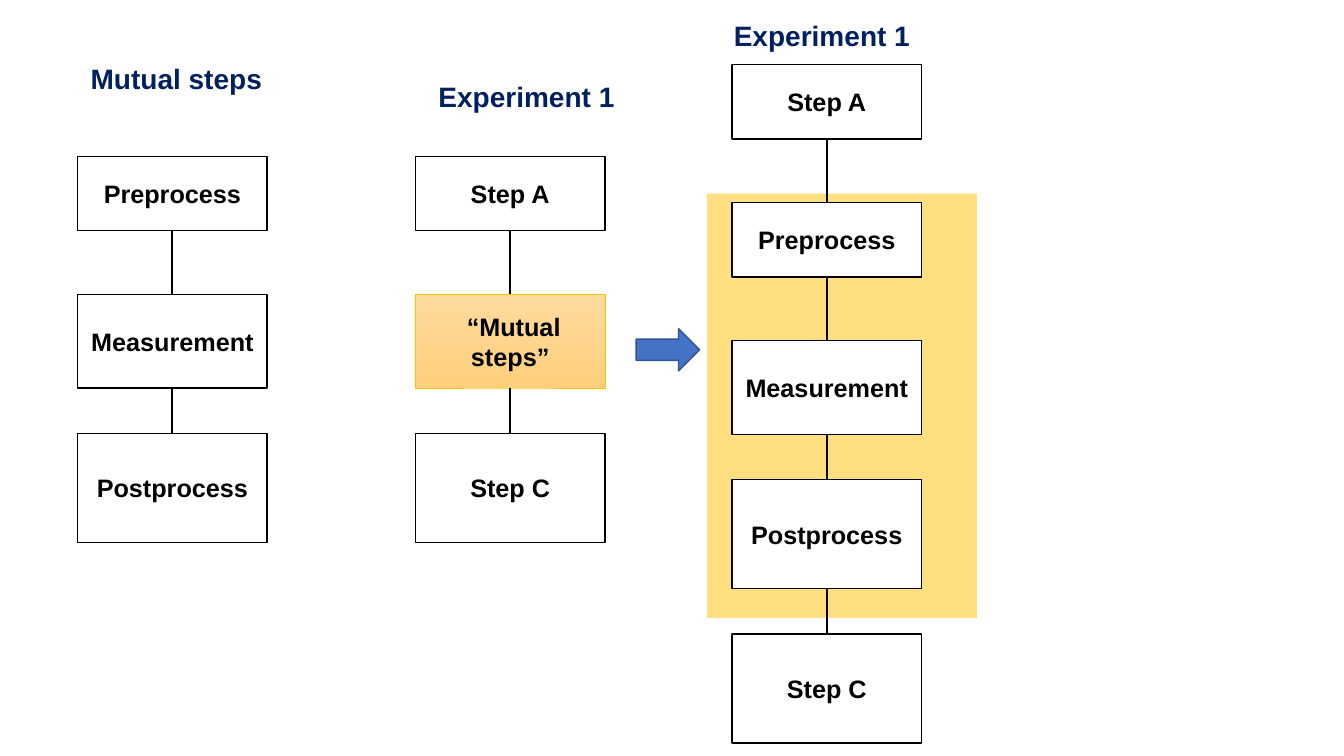
from dataclasses import dataclass

import lxml.etree
import pptx
import pptx.dml.color
import pptx.enum.dml
import pptx.enum.shapes
import pptx.enum.text
import pptx.oxml.ns
import pptx.util

Inches = pptx.util.Inches
Pt = pptx.util.Pt
RGBColor = pptx.dml.color.RGBColor
SHAPE = pptx.enum.shapes.MSO_SHAPE
qn = pptx.oxml.ns.qn

BLACK = RGBColor(0x00, 0x00, 0x00)
WHITE = RGBColor(0xFF, 0xFF, 0xFF)
NAVY = RGBColor(0x00, 0x20, 0x60)
GOLD = RGBColor(0xFF, 0xC0, 0x00)
BLUE = RGBColor(0x44, 0x72, 0xC4)
DARK_BLUE = RGBColor(0x32, 0x54, 0x91)
MUTUAL_TOP = RGBColor(0xFF, 0xDB, 0x9E)
MUTUAL_BOTTOM = RGBColor(0xFF, 0xD0, 0x7C)

FONT = "Arial"
STEP_WIDTH = 1.88
SMALL, MEDIUM, LARGE = 0.74, 0.93, 1.08  # step heights
LONG_GAP, SHORT_GAP = 0.63, 0.45


@dataclass(frozen=True)
class Step:
    label: str
    height: float
    gap_after: float = 0.0
    mutual: bool = False


@dataclass(frozen=True)
class Flow:
    heading: str
    heading_left: float
    heading_top: float
    heading_width: float
    left: float
    top: float
    steps: tuple[Step, ...]


PREPROCESS = Step("Preprocess", SMALL, LONG_GAP)
MEASUREMENT = Step("Measurement", MEDIUM, SHORT_GAP)
POSTPROCESS = Step("Postprocess", LARGE, SHORT_GAP)
STEP_A = Step("Step A", SMALL, LONG_GAP)
MUTUAL_STEPS = Step(" “Mutual steps”", MEDIUM, SHORT_GAP, mutual=True)
STEP_C = Step("Step C", LARGE)
MUTUAL_SEQUENCE = (PREPROCESS, MEASUREMENT, POSTPROCESS)

FLOWS = (
    Flow("Mutual steps", 0.8, 0.56, 1.91, 0.77, 1.55, MUTUAL_SEQUENCE),
    Flow("Experiment 1", 4.25, 0.74, 1.96, 4.12, 1.55,
         (STEP_A, MUTUAL_STEPS, STEP_C)),
    Flow("Experiment 1", 7.18, 0.13, 1.96, 7.26, 0.64,
         (STEP_A, *MUTUAL_SEQUENCE, STEP_C)),
)


def add_box(page, kind, left: float, top: float, width: float, height: float,
            fill: RGBColor):
    box = page.shapes.add_shape(
        kind, Inches(left), Inches(top), Inches(width), Inches(height))
    box.shadow.inherit = False
    box.fill.solid()
    box.fill.fore_color.rgb = fill
    return box


def set_line(shape, color: RGBColor, width: float) -> None:
    shape.line.color.rgb = color
    shape.line.width = Pt(width)


def set_text(para, text: str, size: float, color: RGBColor) -> None:
    para.text = text
    para.font.name = FONT
    para.font.size = Pt(size)
    para.font.bold = True
    para.font.color.rgb = color


def add_step(page, step: Step, left: float, top: float):
    box = add_box(page, SHAPE.RECTANGLE, left, top, STEP_WIDTH, step.height, WHITE)
    set_line(box, BLACK, 1)
    if step.mutual:
        set_line(box, GOLD, 0.5)
        box.fill.gradient()
        box.fill.gradient_angle = 270
        for stop, color in zip(box.fill.gradient_stops, (MUTUAL_TOP, MUTUAL_BOTTOM)):
            stop.color.rgb = color
    frame = box.text_frame
    frame.word_wrap = True
    frame.vertical_anchor = pptx.enum.text.MSO_ANCHOR.MIDDLE
    para = frame.paragraphs[0]
    para.alignment = pptx.enum.text.PP_ALIGN.CENTER
    set_text(para, step.label, 18, BLACK)
    return box


def connect(page, upper, lower) -> None:
    line = page.shapes.add_connector(
        pptx.enum.shapes.MSO_CONNECTOR.STRAIGHT, 0, 0, 0, 0)
    line.begin_connect(upper, 2)  # bottom centre
    line.end_connect(lower, 0)  # top centre
    set_line(line, BLACK, 1.5)
    lxml.etree.SubElement(line._element.spPr, qn("a:effectLst"))


def add_flow(page, flow: Flow) -> None:
    heading = page.shapes.add_textbox(
        Inches(flow.heading_left), Inches(flow.heading_top),
        Inches(flow.heading_width), Inches(0.44))
    heading.text_frame.word_wrap = False
    heading.text_frame.auto_size = pptx.enum.text.MSO_AUTO_SIZE.SHAPE_TO_FIT_TEXT
    set_text(heading.text_frame.paragraphs[0], flow.heading, 20, NAVY)

    top = flow.top
    previous = None
    for step in flow.steps:
        box = add_step(page, step, flow.left, top)
        if previous is not None:
            connect(page, previous, box)
        previous = box
        top += step.height + step.gap_after


deck = pptx.Presentation()
deck.slide_width = Inches(13.33)
deck.slide_height = Inches(7.5)
page = deck.slides.add_slide(deck.slide_layouts.get_by_name("Blank"))

# Half-transparent panel behind the expanded mutual steps
panel = add_box(page, SHAPE.RECTANGLE, 7.01, 1.92, 2.68, 4.21, GOLD)
panel.line.fill.background()
panel_color = panel._element.spPr.find(qn("a:solidFill"))[0]
lxml.etree.SubElement(panel_color, qn("a:alpha"), val="50000")

# The three flows
for flow in FLOWS:
    add_flow(page, flow)

# Arrow from the compact experiment to the expanded one
arrow = add_box(page, SHAPE.RIGHT_ARROW, 6.31, 3.26, 0.63, 0.42, BLUE)
set_line(arrow, DARK_BLUE, 1)

deck.save("out.pptx")
